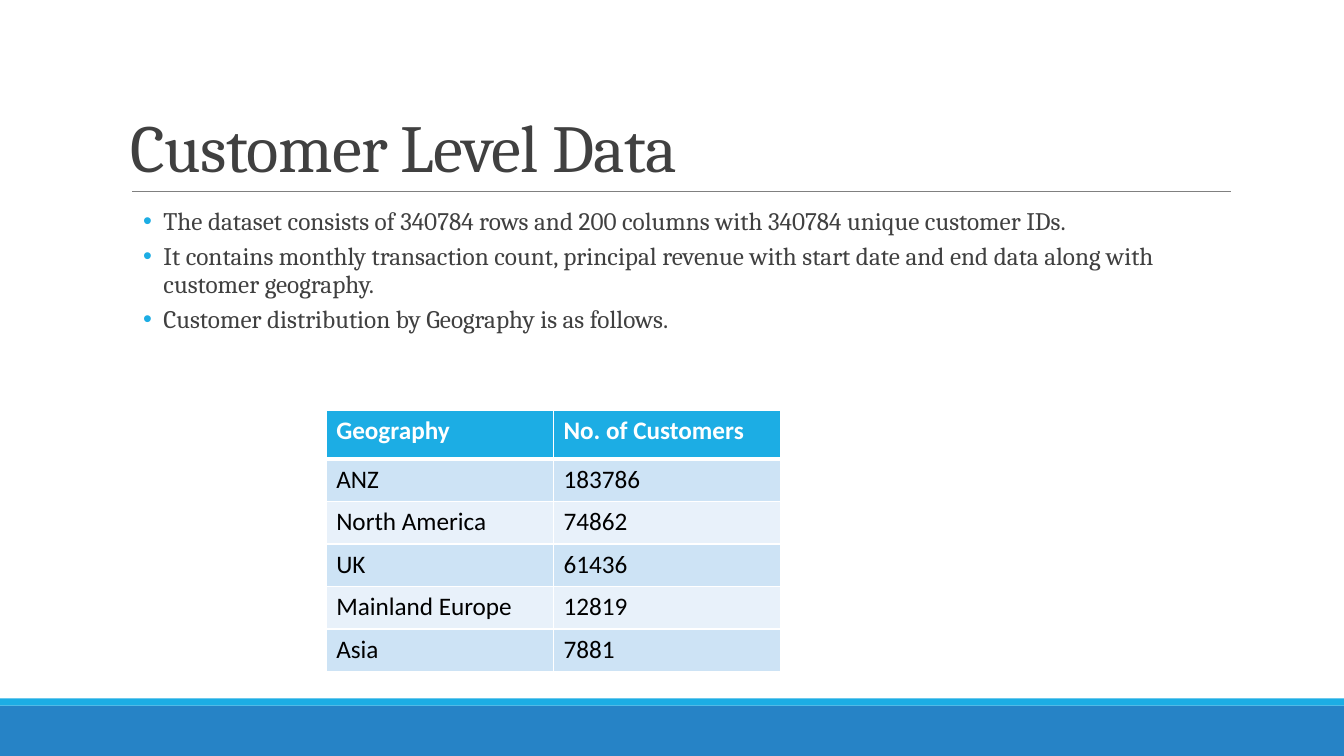
from lxml.etree import SubElement
from pptx import Presentation
from pptx.dml.color import RGBColor
from pptx.enum.shapes import MSO_CONNECTOR, MSO_SHAPE
from pptx.enum.text import MSO_ANCHOR
from pptx.oxml.ns import qn
from pptx.util import Cm, Pt


def rgb(value):
    return RGBColor.from_string(value)


class Deck:
    SERIF, SANS = "Cambria", "Calibri"
    TEXT, ACCENT, BLUE, RULE = "404040", "1CADE4", "2683C6", "808080"
    WHITE, BLACK = "FFFFFF", "000000"
    STRIPES = ("CDE3F5", "E8F1FA")

    def __init__(self, prs):
        self.s = prs.slides.add_slide(prs.slide_layouts[6])

    def bar(self, x, y, w, h, color):
        sp = self.s.shapes.add_shape(MSO_SHAPE.RECTANGLE, Cm(x), Cm(y), Cm(w), Cm(h))
        sp.shadow.inherit = False
        sp.fill.solid()
        sp.fill.fore_color.rgb = rgb(color)
        sp.line.fill.background()

    def rule(self, x1, x2, y):
        line = self.s.shapes.add_connector(
            MSO_CONNECTOR.STRAIGHT, Cm(x1), Cm(y), Cm(x2), Cm(y))
        line.line.color.rgb = rgb(self.RULE)
        line.line.width = Pt(0.5)
        SubElement(line._element.spPr, qn("a:effectLst"))

    def run(self, p, text, size, font, color, bold=False):
        r = p.add_run()
        r.text = text
        r.font.size, r.font.name, r.font.bold = Pt(size), font, bold
        r.font.color.rgb = rgb(color)
        return r

    def box(self, x, y, w, h):
        tf = self.s.shapes.add_textbox(Cm(x), Cm(y), Cm(w), Cm(h)).text_frame
        tf.word_wrap = True
        return tf

    def title(self, x, y, w, h, text):
        tf = self.box(x, y, w, h)
        tf.vertical_anchor = MSO_ANCHOR.BOTTOM
        p = tf.paragraphs[0]
        p.line_spacing = 0.85
        r = self.run(p, text, 48, self.SERIF, self.TEXT)
        r.font._element.set("spc", "-50")

    def bullets(self, x, y, w, h, items):
        tf = self.box(x, y, w, h)
        tf.margin_left = tf.margin_right = 0
        for i, text in enumerate(items):
            p = tf.add_paragraph() if i else tf.paragraphs[0]
            p.line_spacing, p.space_before, p.space_after = 0.9, Pt(2), Pt(4)
            pPr = p._p.get_or_add_pPr()
            pPr.set("marL", str(Cm(1.07)))
            pPr.set("indent", str(Cm(-0.51)))
            clr = SubElement(pPr, qn("a:buClr"))
            SubElement(clr, qn("a:srgbClr"), val=self.ACCENT)
            SubElement(pPr, qn("a:buFont"), typeface="Arial")
            SubElement(pPr, qn("a:buChar"), char="•")
            self.run(p, text, 18, self.SERIF, self.TEXT)

    def borders(self, cell, bottom):
        tcPr = cell._tc.get_or_add_tcPr()
        for side, width in zip("LRTB", (1, 1, 1, bottom)):
            ln = SubElement(tcPr, qn("a:ln" + side), w=str(Pt(width)))
            fill = SubElement(ln, qn("a:solidFill"))
            SubElement(fill, qn("a:srgbClr"), val=self.WHITE)

    def table(self, x, y, col_w, head_h, row_h, rows):
        cols, body = len(rows[0]), len(rows) - 1
        tbl = self.s.shapes.add_table(
            len(rows), cols, Cm(x), Cm(y),
            Cm(col_w * cols), Cm(head_h + row_h * body)).table
        for col in tbl.columns:
            col.width = Cm(col_w)
        for i, values in enumerate(rows):
            head = i == 0
            tbl.rows[i].height = Cm(head_h if head else row_h)
            for j, text in enumerate(values):
                cell = tbl.cell(i, j)
                # The header's thick lower edge is shared with the first row
                self.borders(cell, 3 if head else 1)
                if i == 1:
                    cell._tc.tcPr.find(qn("a:lnT")).set("w", str(Pt(3)))
                cell.fill.solid()
                cell.fill.fore_color.rgb = rgb(
                    self.ACCENT if head else self.STRIPES[(i - 1) % 2])
                self.run(cell.text_frame.paragraphs[0], text, 18, self.SANS,
                         self.WHITE if head else self.BLACK, head)


prs = Presentation()
prs.slide_width, prs.slide_height = Cm(33.87), Cm(19.05)
deck = Deck(prs)

# Footer bands
deck.bar(0, 17.78, 33.87, 1.27, Deck.BLUE)
deck.bar(0, 17.6, 33.87, 0.18, Deck.ACCENT)

# Heading
deck.rule(3.33, 31.01, 4.82)
deck.title(3.05, 0.79, 27.94, 4.03, "Customer Level Data")

# Dataset description
deck.bullets(3.05, 5.13, 27.94, 11.18, [
    "The dataset consists of 340784 rows and 200 columns with 340784 unique customer IDs.",
    "It contains monthly transaction count, principal revenue with start date "
    "and end data along with customer geography.",
    "Customer distribution by Geography is as follows.",
])

# Customers by geography
deck.table(8.22, 10.34, 5.73, 1.23, 1.07, [
    ("Geography", "No. of Customers"),
    ("ANZ", "183786"),
    ("North America", "74862"),
    ("UK", "61436"),
    ("Mainland Europe", "12819"),
    ("Asia", "7881"),
])

prs.save("out.pptx")
